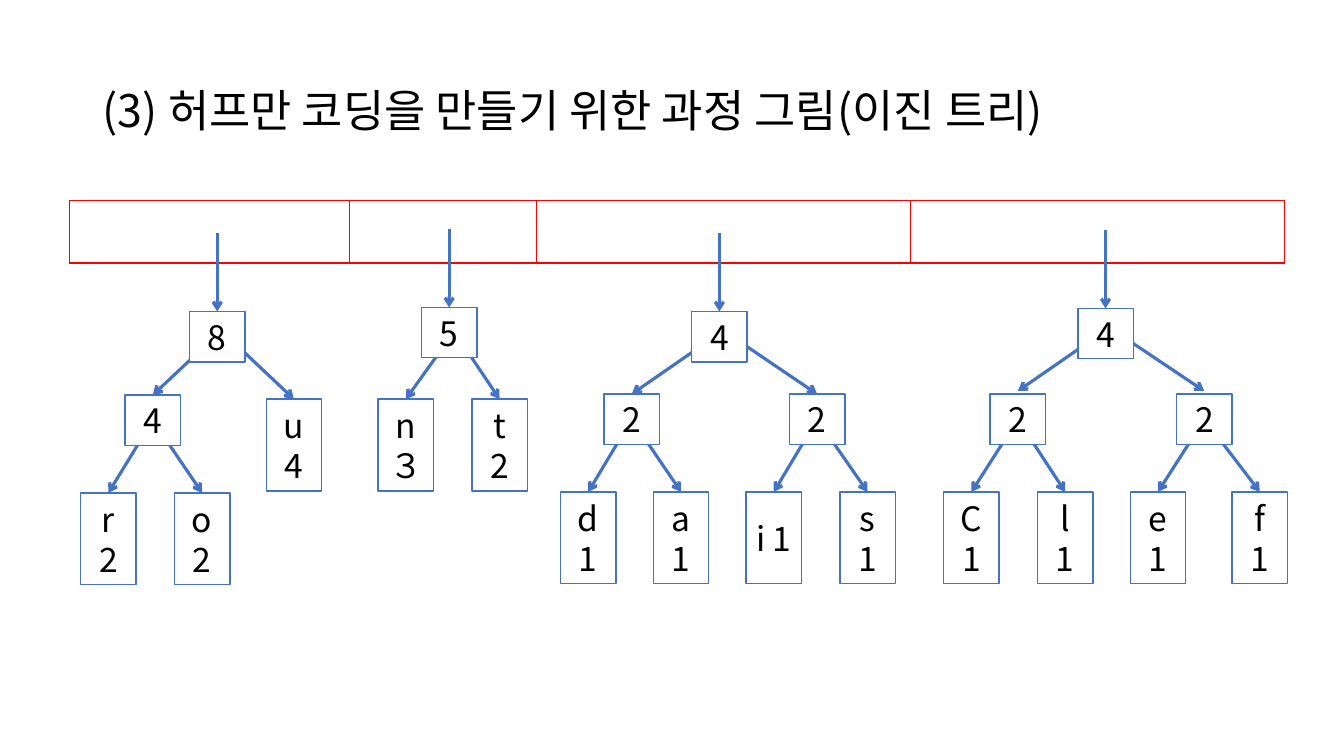
from dataclasses import dataclass

from lxml import etree
from pptx import Presentation
from pptx.dml.color import RGBColor
from pptx.enum.shapes import MSO_CONNECTOR, MSO_SHAPE
from pptx.enum.text import MSO_ANCHOR, MSO_AUTO_SIZE, PP_ALIGN
from pptx.oxml.ns import qn
from pptx.slide import Slide
from pptx.table import _Cell
from pptx.text.text import _Paragraph
from pptx.util import Inches, Pt

RECTANGLE = MSO_SHAPE.RECTANGLE
STRAIGHT = MSO_CONNECTOR.STRAIGHT
MIDDLE = MSO_ANCHOR.MIDDLE
FIT_SHAPE = MSO_AUTO_SIZE.SHAPE_TO_FIT_TEXT
NO_FIT = MSO_AUTO_SIZE.NONE
LEFT, CENTER = PP_ALIGN.LEFT, PP_ALIGN.CENTER

FONT = "Noto Sans CJK KR"
COLORS = {"text": "000000", "paper": "FFFFFF", "branch": "4472C4", "queue": "FF0000"}
TITLE = "(3) 허프만 코딩을 만들기 위한 과정 그림(이진 트리)"
QUEUE_COLUMNS = (2.78, 1.85, 3.71, 3.71)
NODE_WIDTH, NODE_HEIGHT, LEAF_HEIGHT = 0.55, 0.5, 0.91
STEM_LENGTH = 0.78


@dataclass(frozen=True)
class Node:
    label: str
    left: float
    top: float
    children: tuple["Node", ...] = ()
    branch_shift: tuple[float, float] = (0, 0)
    tip_shift: float = 0

    @property
    def center_x(self) -> float:
        return self.left + NODE_WIDTH / 2

    @property
    def height(self) -> float:
        return NODE_HEIGHT if self.children else LEAF_HEIGHT


def pair(left: float, first: str, second: str, leaf_lefts: tuple[float, float],
         label: str = "2", top: float = 3.91) -> Node:
    """An inner node above two leaves."""
    leaves = tuple(Node(text, x, top + 0.97)
                   for text, x in zip((first, second), leaf_lefts))
    return Node(label, left, top, leaves)


TREES = (
    Node("8", 1.88, 3.09, (
        pair(1.24, "r 2", "o2", (0.8, 1.73), "4", 3.92),
        Node("u4", 2.64, 3.96),
    ), (0.04, -0.06)),
    Node("5", 4.18, 3.05, (
        Node("n３", 3.75, 3.96),
        Node("t 2", 4.68, 3.96),
    ), (0.05, -0.01)),
    Node("4", 6.86, 3.09, (
        pair(5.99, "d1", "a1", (5.56, 6.48)),
        pair(7.83, "i 1", "s 1", (7.4, 8.33)),
    ), (0.04, -0.06)),
    Node("4", 10.69, 3.06, (
        pair(9.82, "C1", "l 1", (9.36, 10.29)),
        pair(11.67, "e1", "f 1", (11.21, 12.22)),
    ), (0.04, -0.06), -0.03),
)


def rgb(name: str) -> RGBColor:
    return RGBColor.from_string(COLORS[name])


def add_text(paragraph: _Paragraph, text: str, size: float, align: PP_ALIGN) -> None:
    paragraph.alignment = align
    run = paragraph.add_run()
    run.text = text
    run.font.size = Pt(size)
    run.font.name = FONT
    run.font.color.rgb = rgb("text")
    etree.SubElement(run.font._element, qn("a:ea"), typeface=FONT)


def add_title(slide: Slide) -> None:
    title = slide.shapes.title
    title.left, title.top = Inches(0.92), Inches(0.4)
    title.width, title.height = Inches(11.5), Inches(1.45)
    frame = title.text_frame
    frame.vertical_anchor = MIDDLE
    frame.auto_size = NO_FIT
    paragraph = frame.paragraphs[0]
    paragraph.line_spacing = 0.9
    add_text(paragraph, TITLE, 32, LEFT)


def outline_cell(cell: _Cell) -> None:
    properties = cell._tc.get_or_add_tcPr()
    for position, side in enumerate(("lnL", "lnR", "lnT", "lnB")):
        border = etree.Element(qn(f"a:{side}"), w=str(Pt(1)))
        fill = etree.SubElement(border, qn("a:solidFill"))
        etree.SubElement(fill, qn("a:srgbClr"), val=COLORS["queue"])
        properties.insert(position, border)


def add_queue(slide: Slide) -> None:
    table = slide.shapes.add_table(
        1, len(QUEUE_COLUMNS), Inches(0.69), Inches(1.99),
        Inches(sum(QUEUE_COLUMNS)), Inches(0.62)).table
    for column, width in zip(table.columns, QUEUE_COLUMNS):
        column.width = Inches(width)
    for cell in table.iter_cells():
        cell.fill.solid()
        cell.fill.fore_color.rgb = rgb("paper")
        outline_cell(cell)


def add_arrow(slide: Slide, x1: float, y1: float, x2: float, y2: float) -> None:
    arrow = slide.shapes.add_connector(
        STRAIGHT, Inches(x1), Inches(y1), Inches(x2), Inches(y2))
    arrow.line.color.rgb = rgb("branch")
    arrow.line.width = Pt(2.25)
    etree.SubElement(arrow.line._get_or_add_ln(), qn("a:tailEnd"), type="arrow")
    etree.SubElement(arrow._element.spPr, qn("a:effectLst"))


def add_box(slide: Slide, node: Node) -> None:
    box = slide.shapes.add_shape(
        RECTANGLE, Inches(node.left), Inches(node.top),
        Inches(NODE_WIDTH), Inches(node.height))
    box.shadow.inherit = False
    box.fill.solid()
    box.fill.fore_color.rgb = rgb("paper")
    box.line.color.rgb = rgb("branch")
    box.line.width = Pt(1)
    frame = box.text_frame
    frame.word_wrap = True
    frame.auto_size = FIT_SHAPE
    frame.vertical_anchor = MIDDLE
    add_text(frame.paragraphs[0], node.label, 24, CENTER)


def add_tree(slide: Slide, node: Node) -> None:
    """Draws the branches first, so that the node's box covers their starts."""
    shift_x, shift_y = node.branch_shift
    for child in node.children:
        add_arrow(slide, node.center_x + shift_x, node.top + NODE_HEIGHT / 2 + shift_y,
                  child.center_x, child.top + node.tip_shift)
        add_tree(slide, child)
    add_box(slide, node)


def main() -> None:
    presentation = Presentation()
    presentation.slide_width, presentation.slide_height = Inches(13.33), Inches(7.5)
    slide = presentation.slides.add_slide(presentation.slide_layouts[5])
    add_title(slide)
    add_queue(slide)
    for root in TREES:
        add_tree(slide, root)
        add_arrow(slide, root.center_x, root.top - STEM_LENGTH, root.center_x, root.top)
    presentation.save("out.pptx")


if __name__ == "__main__":
    main()
